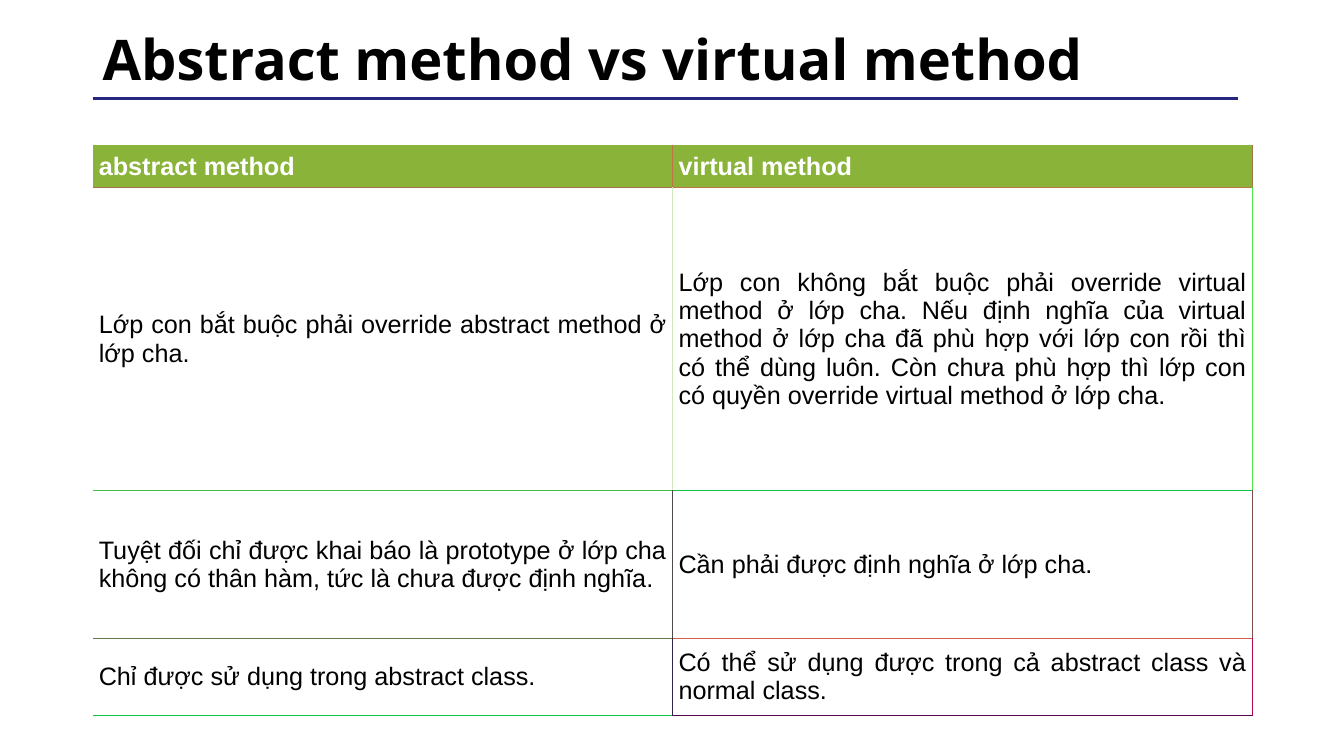
from lxml import etree
from pptx import Presentation
from pptx.dml.color import RGBColor
from pptx.enum.shapes import MSO_CONNECTOR as CONN
from pptx.enum.text import MSO_ANCHOR as ANCHOR, PP_ALIGN as ALIGN
from pptx.oxml import parse_xml
from pptx.oxml.ns import nsdecls, qn
from pptx.util import Pt

EMU_PER_PX = 9144  # 100 px to the inch
LEFT, WIDTH = 92, 1150
NO_STYLE = "{2D5ABB26-0587-4C30-8999-92F81FD0307C}"

HEADER = ("abstract method", "virtual method")
BODY = [
    ("Lớp con bắt buộc phải override abstract method ở lớp cha.",
     "Lớp con không bắt buộc phải override virtual method ở lớp cha. "
     "Nếu định nghĩa của virtual method ở lớp cha đã phù hợp với lớp con rồi "
     "thì có thể dùng luôn. Còn chưa phù hợp thì lớp con có quyền override "
     "virtual method ở lớp cha."),
    ("Tuyệt đối chỉ được khai báo là prototype ở lớp cha không có thân hàm, "
     "tức là chưa được định nghĩa.",
     "Cần phải được định nghĩa ở lớp cha."),
    ("Chỉ được sử dụng trong abstract class.",
     "Có thể sử dụng được trong cả abstract class và normal class."),
]
ROW_HEIGHTS = (42, 301, 146, 77)
# Border colours by row and column; neighbouring cells share an edge
RIGHT_EDGES = [("C07347", "A07547"), ("D0E9B8", "50E847"),
               ("504A4D", "804D4D"), ("30244E", "B0074D")]
BOTTOM_EDGES = [("A07547", "C07347"), ("40BE47", "10C544"),
                ("60794D", "D0604D"), ("10C544", "500A4D")]


def px(n):
    return n * EMU_PER_PX


def rgb(color):
    return RGBColor.from_string(color)


def add_run(p, text, font, size, color, bold=False):
    r = p.add_run()
    r.text = text
    r.font.name, r.font.size, r.font.bold = font, Pt(size), bold
    r.font.color.rgb = rgb(color)


def add_title(s, text):
    tf = s.shapes.add_textbox(px(LEFT), px(17), px(WIDTH), px(89)).text_frame
    tf.word_wrap = True
    tf.vertical_anchor = ANCHOR.MIDDLE
    p = tf.paragraphs[0]
    p.line_spacing = 0.9
    add_run(p, text, "Open Sans", 40, "000000", bold=True)


def add_rule(s, x1, x2, y, color, width):
    line = s.shapes.add_connector(CONN.STRAIGHT, px(x1), px(y), px(x2), px(y))
    line.line.color.rgb = rgb(color)
    line.line.width = Pt(width)
    etree.SubElement(line._element.spPr, qn("a:effectLst"))


def set_borders(cell, edges):
    """Draw the given edges, a dict of L, R, T, B (in that order) to colour."""
    tcPr = cell._tc.get_or_add_tcPr()
    for i, (side, color) in enumerate(edges.items()):
        tcPr.insert(i, parse_xml(
            f'<a:ln{side} {nsdecls("a")} w="{Pt(0.75)}"><a:solidFill>'
            f'<a:srgbClr val="{color}"/></a:solidFill></a:ln{side}>'))


def cell_edges(row, col):
    edges = {}
    if col:
        edges["L"] = RIGHT_EDGES[row][col - 1]
    edges["R"] = RIGHT_EDGES[row][col]
    if row:
        edges["T"] = BOTTOM_EDGES[row - 1][col]
    edges["B"] = BOTTOM_EDGES[row][col]
    return edges


def fill_cell(cell, text, is_header):
    cell.fill.solid()
    cell.fill.fore_color.rgb = rgb("8AB339" if is_header else "FFFFFF")
    cell.vertical_anchor = ANCHOR.MIDDLE
    cell.margin_left = cell.margin_right = px(6)
    cell.margin_top = cell.margin_bottom = px(4)
    p = cell.text_frame.paragraphs[0]
    p.alignment = ALIGN.LEFT if is_header else ALIGN.JUSTIFY
    add_run(p, text, "Arial", 18, "FFFFFF" if is_header else "000000", is_header)


def add_comparison(s):
    rows = [HEADER] + BODY
    table = s.shapes.add_table(len(rows), len(HEADER), px(LEFT), px(144),
                               px(WIDTH), px(sum(ROW_HEIGHTS))).table
    table._tbl.tblPr.find(qn("a:tableStyleId")).text = NO_STYLE
    table.horz_banding = False
    for i, (texts, height) in enumerate(zip(rows, ROW_HEIGHTS)):
        table.rows[i].height = px(height)
        for j, text in enumerate(texts):
            cell = table.cell(i, j)
            fill_cell(cell, text, is_header=i == 0)
            set_borders(cell, cell_edges(i, j))


def main():
    prs = Presentation()
    prs.slide_width, prs.slide_height = px(1333), px(750)
    s = prs.slides.add_slide(prs.slide_layouts[6])
    add_rule(s, LEFT, 1228, 98, "272780", 2)
    add_title(s, "Abstract method vs virtual method")
    add_comparison(s)
    prs.save("out.pptx")


if __name__ == "__main__":
    main()
